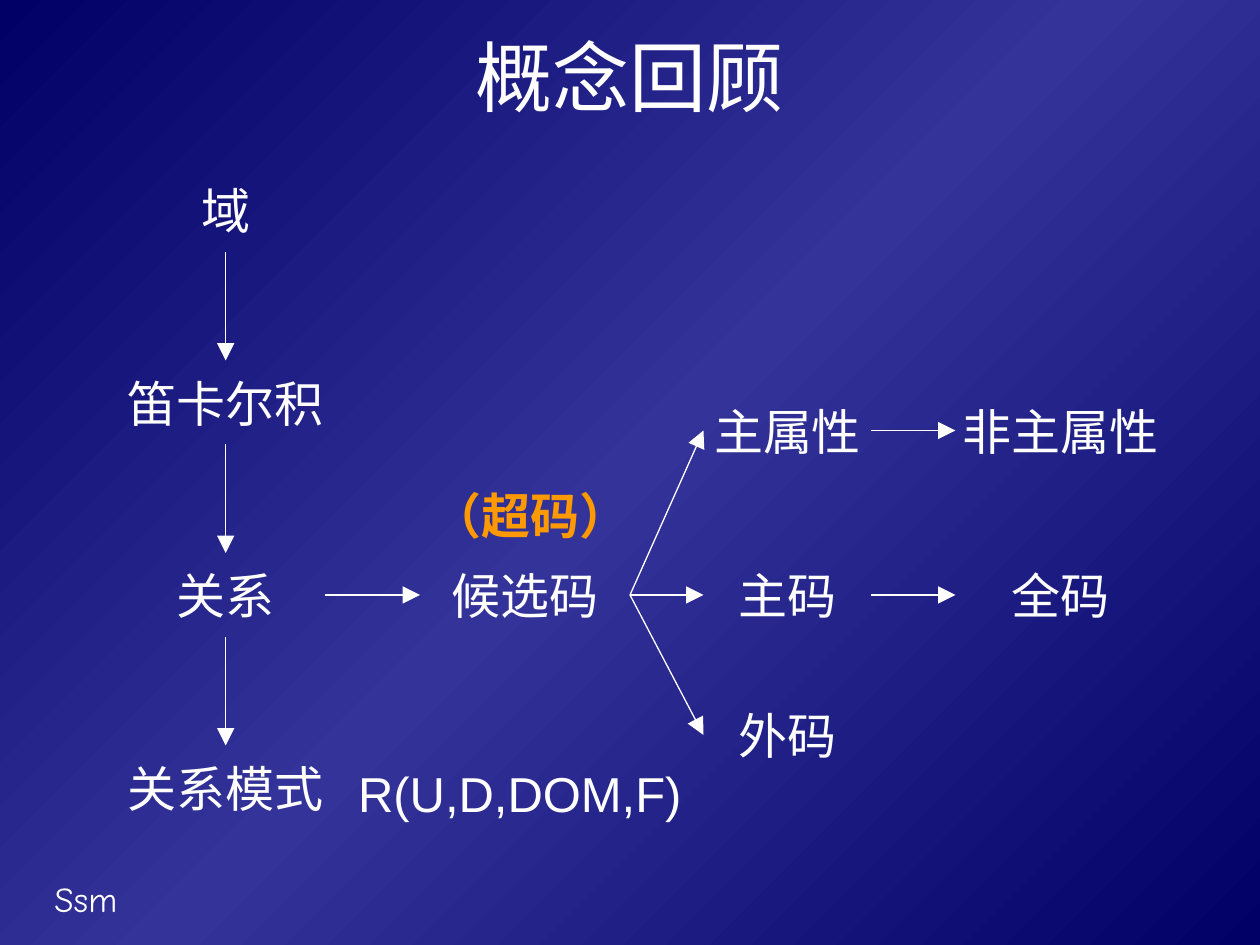
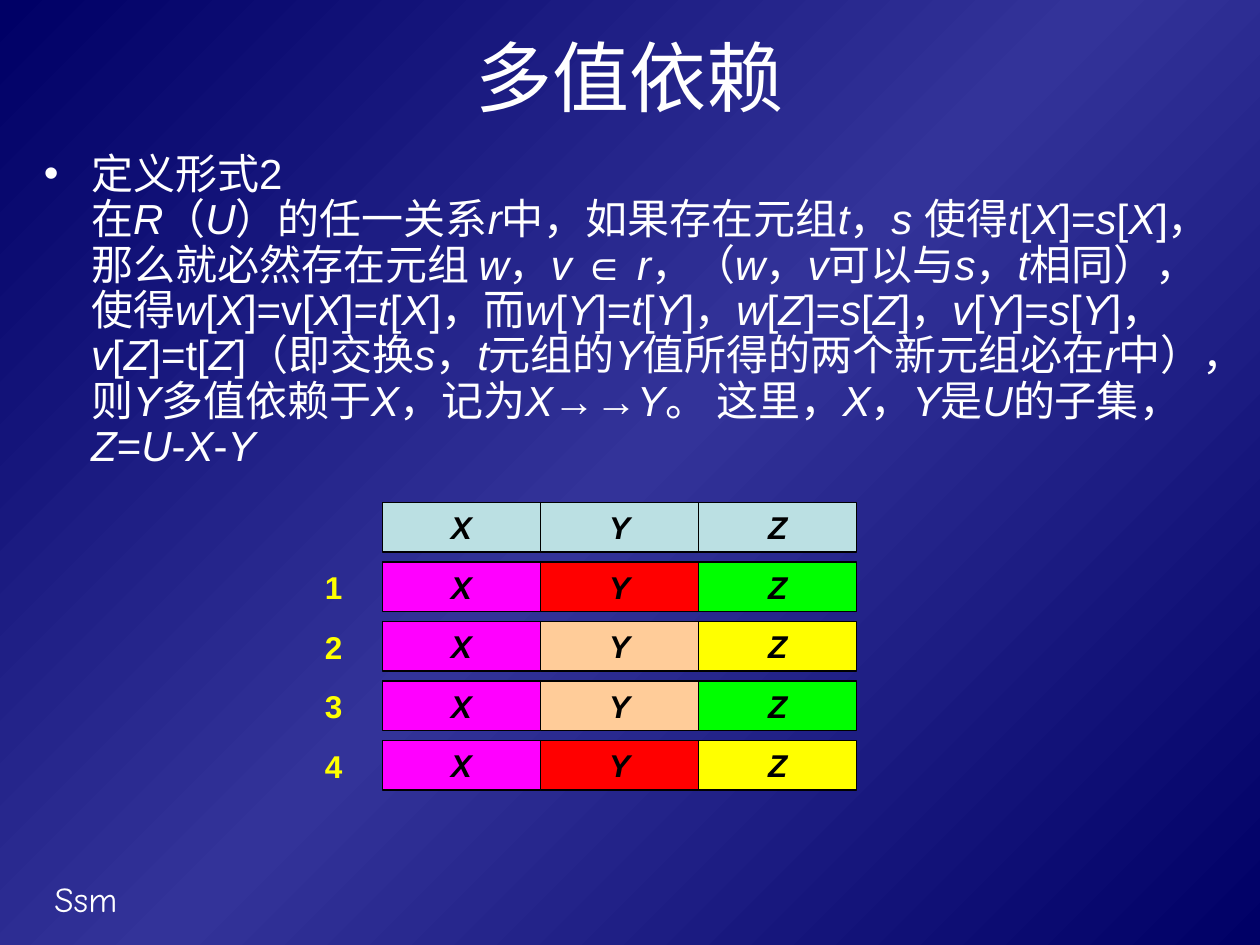
from copy import deepcopy
from dataclasses import dataclass

from lxml.etree import SubElement
from pptx import Presentation
from pptx.dml.color import RGBColor as Rgb
from pptx.enum.shapes import MSO_CONNECTOR as Connector, MSO_SHAPE as Shape
from pptx.enum.text import MSO_ANCHOR as Anchor, MSO_AUTO_SIZE as AutoSize, PP_ALIGN as Align
from pptx.oxml.ns import qn
from pptx.util import Pt


@dataclass(frozen=True)
class Theme:
    font: str = "Arial"
    footer_font: str = "Comic Neue"
    edge: str = "000066"
    middle: str = "333399"
    text: str = "FFFFFF"
    accent: str = "FF9900"
    number: str = "FFFF00"
    ink: str = "000000"
    header: str = "BBE0E3"
    magenta: str = "FF00FF"
    red: str = "FF0000"
    peach: str = "FFCC99"
    green: str = "00FF00"
    yellow: str = "FFFF00"
    title_size: int = 44
    node_size: int = 28
    body_size: int = 24
    footer_size: int = 20
    cell_size: int = 18
    line_width: float = 0.75


THEME = Theme()

DEFINITION = (
    "定义形式2\n在*R*（*U*）的任一关系*r*中，如果存在元组*t*，*s *使得"
    "*t*[*X*]=*s*[*X*]，那么就必然存在元组 *w*，*v *∈ *r*，（*w*，*v*可以与*s*，*t*相同），"
    "使得*w*[*X*]=v[*X*]=*t*[*X*]，而*w*[*Y*]=*t*[*Y*]，"
    "*w*[*Z*]=*s*[*Z*]，*v*[*Y*]=*s*[*Y*]，*v*[*Z*]=t[*Z*]"
    "（即交换*s*，*t*元组的*Y*值所得的两个新元组必在*r*中），"
    "则*Y*多值依赖于*X*，记为*X*→→*Y*。 这里，*X*，*Y*是*U*的子集，*Z*=*U*-*X*-*Y*"
)


class Builder:
    def __init__(self, theme):
        self.theme = theme
        self.deck = Presentation()
        self.deck.slide_width, self.deck.slide_height = Pt(720), Pt(540)
        self.page = None
        self.paint_master()

    def paint_master(self):
        master = self.deck.slide_master
        fill = master.background.fill
        fill.gradient()
        fill.gradient_angle = 135
        for stop in fill.gradient_stops:
            stop.color.rgb = Rgb.from_string(self.theme.edge)
        first = master.element.xpath("p:cSld/p:bg//a:gs")[0]
        center = deepcopy(first)
        center.set("pos", "50000")
        center.find(qn("a:srgbClr")).set("val", self.theme.middle)
        first.addnext(center)

    def new_page(self, title):
        self.page = self.deck.slides.add_slide(self.deck.slide_layouts[5])
        box = self.page.shapes.title
        box.left, box.top, box.width, box.height = Pt(36), Pt(12), Pt(648), Pt(63)
        frame = box.text_frame
        frame.auto_size = AutoSize.NONE
        frame.vertical_anchor = Anchor.MIDDLE
        para = frame.paragraphs[0]
        para.alignment = Align.CENTER
        self.span(para, title, self.theme.title_size)

    def span(self, para, text, size, color=None, font=None, bold=False, italic=False):
        for index, line in enumerate(text.split("\n")):
            if index:
                para.add_line_break()
            span = para.add_run()
            span.text = line
            span.font.name = font or self.theme.font
            span.font.size = Pt(size)
            span.font.bold, span.font.italic = bold, italic
            span.font.color.rgb = Rgb.from_string(color or self.theme.text)

    def text_box(self, left, top, width, height):
        box = self.page.shapes.add_textbox(Pt(left), Pt(top), Pt(width), Pt(height))
        box.text_frame.word_wrap = True
        return box

    def center_text(self, box, text, size, **style):
        frame = box.text_frame
        frame.word_wrap = False
        frame.margin_left = frame.margin_right = 0
        frame.vertical_anchor = Anchor.MIDDLE
        para = frame.paragraphs[0]
        para.alignment = Align.CENTER
        self.span(para, text, size, **style)

    def footer(self, text):
        box = self.text_box(24, 498, 150, 32)
        self.span(box.text_frame.paragraphs[0], text, self.theme.footer_size,
                  font=self.theme.footer_font)
        self.deck.slide_master.element.cSld.spTree.append(box.element)

    def node(self, text, center_x, center_y, width, **style):
        box = self.text_box(center_x - width / 2, center_y - 24, width, 48)
        self.center_text(box, text, self.theme.node_size, **style)
        return box

    def arrow(self, source, target, down=False):
        if down:
            start = source.left + source.width // 2, source.top + source.height
            end = target.left + target.width // 2, target.top
        else:
            start = source.left + source.width, source.top + source.height // 2
            end = target.left, target.top + target.height // 2
        line = self.page.shapes.add_connector(Connector.STRAIGHT, *start, *end)
        line.line.color.rgb = Rgb.from_string(self.theme.text)
        line.line.width = Pt(self.theme.line_width)
        props = line.element.spPr
        SubElement(props.find(qn("a:ln")), qn("a:tailEnd"), type="triangle", w="lg", len="lg")
        SubElement(props, qn("a:effectLst"))

    def bullet(self, text, left, top, width, height):
        box = self.text_box(left, top, width, height)
        para = box.text_frame.paragraphs[0]
        props = box.element.txBody.p_lst[0].get_or_add_pPr()
        props.set("marL", str(Pt(27)))
        props.set("indent", str(-Pt(27)))
        color = SubElement(props, qn("a:buClr"))
        SubElement(color, qn("a:srgbClr"), val=self.theme.text)
        SubElement(props, qn("a:buFont"), typeface=self.theme.font)
        SubElement(props, qn("a:buChar"), char="•")
        para.line_spacing = 0.9
        for index, piece in enumerate(text.split("*")):
            if piece:
                self.span(para, piece, self.theme.body_size, italic=index % 2 == 1)

    def cell(self, text, left, top, width, height, color):
        box = self.page.shapes.add_shape(
            Shape.RECTANGLE, Pt(left), Pt(top), Pt(width), Pt(height))
        box.shadow.inherit = False
        box.fill.solid()
        box.fill.fore_color.rgb = Rgb.from_string(color)
        box.line.color.rgb = Rgb.from_string(self.theme.ink)
        box.line.width = Pt(self.theme.line_width)
        self.center_text(box, text, self.theme.cell_size, color=self.theme.ink,
                         bold=True, italic=True)

    def row_number(self, number, left, top):
        box = self.text_box(left, top, 28, 28.8)
        self.span(box.text_frame.paragraphs[0], str(number), self.theme.cell_size,
                  color=self.theme.number, bold=True)


def concept_review(build):
    build.new_page("概念回顾")
    build.footer("Ssm")
    chain = [
        build.node(text, 129, 120 + 110 * step, width)
        for step, (text, width) in enumerate(
            [("域", 156), ("笛卡尔积", 156), ("关系", 114), ("关系模式", 156)])
    ]
    for source, target in zip(chain, chain[1:]):
        build.arrow(source, target, down=True)
    build.node("R(U,D,DOM,F)", 297, 453, 198)
    build.node("（超码）", 303, 294, 150, color=build.theme.accent, bold=True)

    candidate = build.node("候选码", 300, 340, 120)
    build.arrow(chain[2], candidate)
    for text, follower, center_y in [
            ("主属性", "非主属性", 246), ("主码", "全码", 340), ("外码", None, 420)]:
        branch = build.node(text, 450, center_y, 96)
        build.arrow(candidate, branch)
        if follower:
            build.arrow(branch, build.node(follower, 606, center_y, 120))


def multivalued_dependency(build):
    build.new_page("多值依赖")
    build.bullet(DEFINITION, 18, 84, 690, 192)
    theme = build.theme
    rows = [
        (theme.header, theme.header, theme.header),
        (theme.magenta, theme.red, theme.green),
        (theme.magenta, theme.peach, theme.yellow),
        (theme.magenta, theme.peach, theme.green),
        (theme.magenta, theme.red, theme.yellow),
    ]
    width = 90.4
    for number, colors in enumerate(rows):
        top = 287.2 + 34 * number
        for column, (name, color) in enumerate(zip("XYZ", colors)):
            build.cell(name, 218.4 + width * column, top, width, 28.3, color)
        if number:
            build.row_number(number, 178.6, top)


def main():
    build = Builder(THEME)
    concept_review(build)
    multivalued_dependency(build)
    build.deck.save("out.pptx")


if __name__ == "__main__":
    main()
